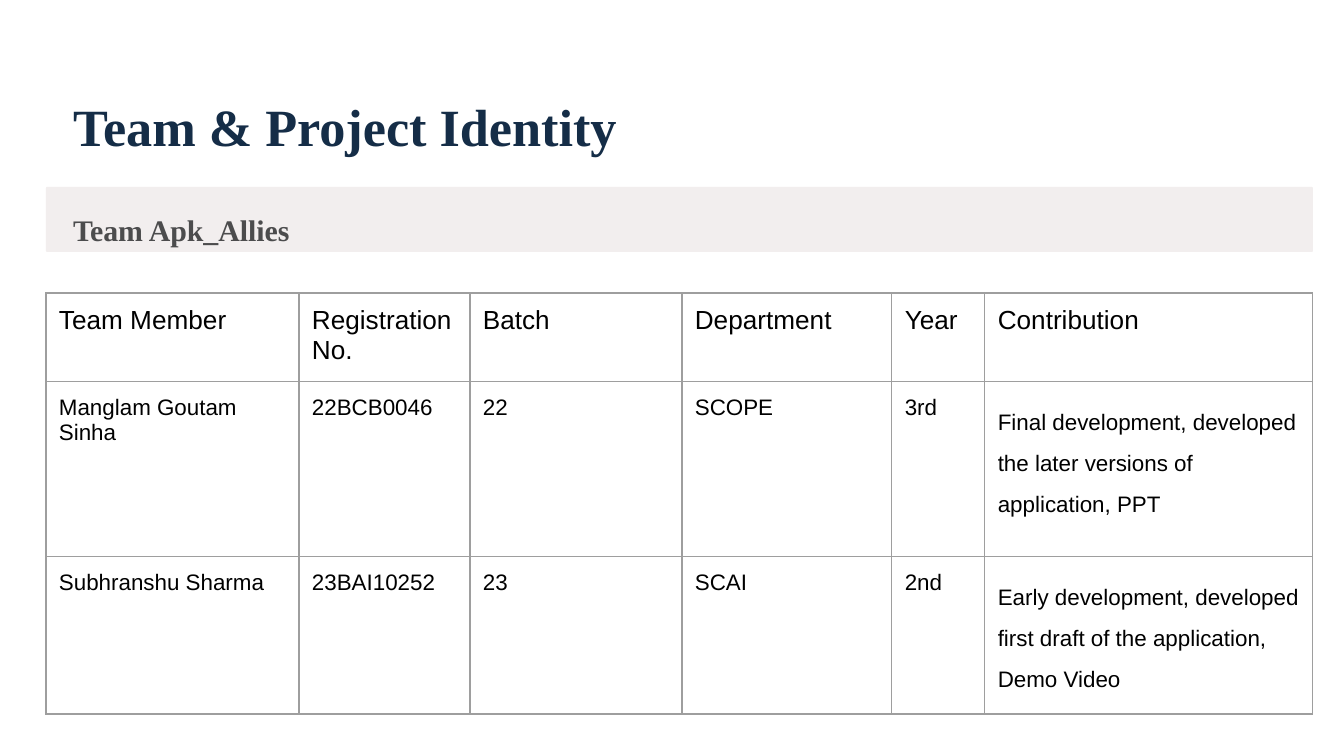
from lxml.etree import SubElement as Sub
from pptx import Presentation
from pptx.dml.color import RGBColor
from pptx.enum.shapes import MSO_SHAPE as Shape
from pptx.enum.text import MSO_ANCHOR as Anchor, MSO_AUTO_SIZE as Auto, PP_ALIGN as Align
from pptx.oxml.ns import qn
from pptx.util import Pt

PX = 914400 / 134.4
SERIF = "Times New Roman"
PAD = ("margin_left", "margin_top", "margin_right", "margin_bottom")


def box(*dims):
    return [round(n * PX) for n in dims]


def write(frame, text, pad, gap, size, name, tone, bold):
    look = dict.fromkeys(PAD, box(pad)[0])
    look |= {"word_wrap": True, "vertical_anchor": Anchor.TOP}
    for key, val in look.items():
        setattr(frame, key, val)
    frame.text = text
    para = frame.paragraphs[0]
    para.alignment = Align.LEFT
    para.line_spacing = gap
    font = para.runs[0].font
    for key, val in {"size": Pt(size), "name": name, "bold": bold}.items():
        setattr(font, key, val)
    font.color.rgb = RGBColor.from_string(tone)


deck = Presentation()
deck.slide_width, deck.slide_height = box(1344, 756)
slide = deck.slides.add_slide(deck.slide_layouts[5])
shapes = slide.shapes

title = shapes.title
title.left, title.top, title.width, title.height = box(73, 79, 808, 65)
write(title.text_frame, "Team & Project Identity", 0, 1.25, 28, SERIF, "152D47", True)
title.text_frame.auto_size = Auto.NONE

band = shapes.add_shape(Shape.ROUNDED_RECTANGLE, *box(46, 187, 1267, 65))
band.adjustments[0] = 0.02
band.shadow.inherit = False
band.fill.solid()
band.fill.fore_color.rgb = RGBColor.from_string("F2EEEE")
band.line.fill.background()

team = shapes.add_textbox(*box(73, 203, 261, 32))
write(team.text_frame, "Team Apk_Allies", 0, 1.25, 16, SERIF, "4C4C4D", True)

rows = [
    ["Team Member", "Registration No.", "Batch", "Department", "Year", "Contribution"],
    ["Manglam Goutam Sinha", "22BCB0046", "22", "SCOPE", "3rd",
     "Final development, developed the later versions of application, PPT"],
    ["Subhranshu Sharma", "23BAI10252", "23", "SCAI", "2nd",
     "Early development, developed first draft of the application, Demo Video"],
]
wide = [253, 171, 212, 210, 93, 328]
high = [86, 175, 148]
grid = shapes.add_table(3, 6, *box(46, 293, sum(wide), sum(high))).table
grid.first_row = grid.horz_banding = False
for col, width in zip(grid.columns, box(*wide)):
    col.width = width
for row, height in zip(grid.rows, box(*high)):
    row.height = height

for r, row in enumerate(rows):
    for c, text in enumerate(row):
        cell = grid.cell(r, c)
        gap = 1.63 if r and c == 5 else 1.0
        write(cell.text_frame, text, 0, gap, 12 if r else 14, "Arial", "000000", False)
        for key in PAD:
            setattr(cell, key, box(13)[0])
        cell.vertical_anchor = Anchor.TOP
        prop = cell._tc.get_or_add_tcPr()
        for side in ("lnL", "lnR", "lnT", "lnB"):
            line = Sub(prop, qn(f"a:{side}"), w=str(Pt(0.75)))
            fill = Sub(line, qn("a:solidFill"))
            Sub(fill, qn("a:srgbClr"), val="9E9E9E")
        cell.fill.background()

deck.save("out.pptx")
